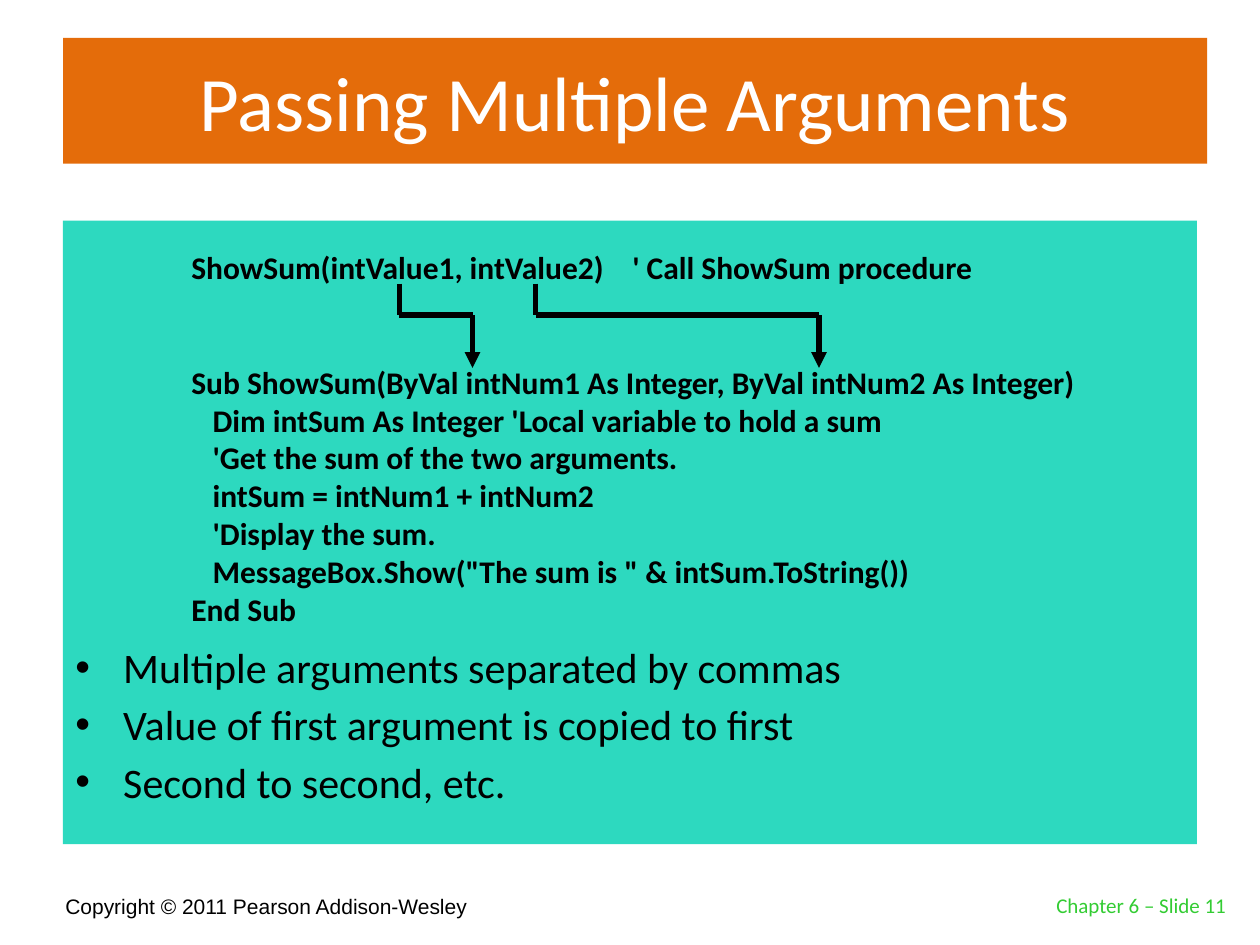
from lxml.etree import SubElement
from pptx import Presentation
from pptx.dml.color import RGBColor
from pptx.enum.shapes import MSO_CONNECTOR, MSO_SHAPE
from pptx.enum.text import MSO_ANCHOR, PP_ALIGN
from pptx.oxml.ns import qn
from pptx.util import Inches, Pt

CODE = [
    "ShowSum(intValue1, intValue2) \t' Call ShowSum procedure",
    "Sub ShowSum(ByVal intNum1 As Integer, ByVal intNum2 As Integer)",
    "   Dim intSum As Integer 'Local variable to hold a sum",
    "   'Get the sum of the two arguments.",
    "   intSum = intNum1 + intNum2",
    "   'Display the sum.",
    "   MessageBox.Show(\"The sum is \" & intSum.ToString())",
    "End Sub",
]
POINTS = [
    "Multiple arguments separated by commas",
    "Value of first argument is copied to first",
    "Second to second, etc.",
]
CALL_BOTTOM, BEND, PARAMETER_TOP = 2.25, 2.5, 2.92


def color(value):
    return RGBColor.from_string(value)


def add_panel(slide, left, top, width, height, fill):
    panel = slide.shapes.add_shape(
        MSO_SHAPE.RECTANGLE, Inches(left), Inches(top), Inches(width), Inches(height))
    panel.shadow.inherit = False
    panel.fill.solid()
    panel.fill.fore_color.rgb = color(fill)
    panel.line.fill.background()
    return panel


def add_box(slide, left, top, width, height):
    return slide.shapes.add_textbox(
        Inches(left), Inches(top), Inches(width), Inches(height))


def add_bullet(paragraph, indent=0.38):
    properties = paragraph._p.get_or_add_pPr()
    properties.set("marL", str(Inches(indent)))
    properties.set("indent", str(-Inches(indent)))
    SubElement(properties, qn("a:buFont"), typeface="Arial")
    SubElement(properties, qn("a:buChar"), char="•")


def write(shape, lines, size, hue="000000", font="Calibri", bold=False,
          align=PP_ALIGN.LEFT, anchor=MSO_ANCHOR.TOP, wrap=True,
          bullets=False, gap=0):
    frame = shape.text_frame
    frame.word_wrap = wrap
    frame.vertical_anchor = anchor
    for index, line in enumerate(lines):
        paragraph = frame.add_paragraph() if index else frame.paragraphs[0]
        if bullets:
            add_bullet(paragraph)
        paragraph.alignment = align
        paragraph.space_before = Pt(gap if index else 0)
        run = paragraph.add_run()
        run.text = line
        run.font.name = font
        run.font.size = Pt(size)
        run.font.bold = bold
        run.font.color.rgb = color(hue)
    return frame


def add_line(slide, start, end, arrow=False):
    line = slide.shapes.add_connector(
        MSO_CONNECTOR.STRAIGHT, *(Inches(value) for value in start + end))
    line.line.color.rgb = color("000000")
    line.line.width = Pt(3)
    if arrow:
        SubElement(line.line._get_or_add_ln(), qn("a:tailEnd"), type="triangle")
    SubElement(line._element.spPr, qn("a:effectLst"))


def add_argument_path(slide, argument, parameter):
    add_line(slide, (argument, BEND), (parameter, BEND))
    add_line(slide, (parameter, BEND), (parameter, PARAMETER_TOP), arrow=True)
    add_line(slide, (argument, CALL_BOTTOM), (argument, BEND))


def main():
    deck = Presentation()
    deck.slide_width, deck.slide_height = Inches(10), Inches(7.5)
    slide = deck.slides.add_slide(deck.slide_layouts[6])

    write(add_box(slide, 0.42, 6.92, 6.08, 0.42),
          ["Copyright © 2011 Pearson Addison-Wesley"], 12,
          font="Arial", anchor=MSO_ANCHOR.BOTTOM)
    write(add_panel(slide, 0.5, 0.3, 9.08, 1, "E46C0A"),
          ["Passing Multiple Arguments"], 44, hue="FFFFFF",
          align=PP_ALIGN.CENTER, anchor=MSO_ANCHOR.MIDDLE)
    points = write(add_panel(slide, 0.5, 1.75, 9, 4.95, "2DD9BF"),
                   POINTS, 24, bullets=True, gap=4)
    points.margin_top = Inches(3.34)
    write(add_box(slide, 7.75, 6.83, 2.08, 0.5), ["Chapter 6 – Slide 11"], 12,
          hue="33CC33", align=PP_ALIGN.RIGHT, anchor=MSO_ANCHOR.BOTTOM)

    code = write(add_box(slide, 1.42, 1.92, 7.27, 3.16), CODE, 18,
                 bold=True, wrap=False)
    code.paragraphs[1].space_before = Pt(44)
    for argument, parameter in [(3.17, 3.75), (4.25, 6.5)]:
        add_argument_path(slide, argument, parameter)

    deck.save("out.pptx")


if __name__ == "__main__":
    main()
